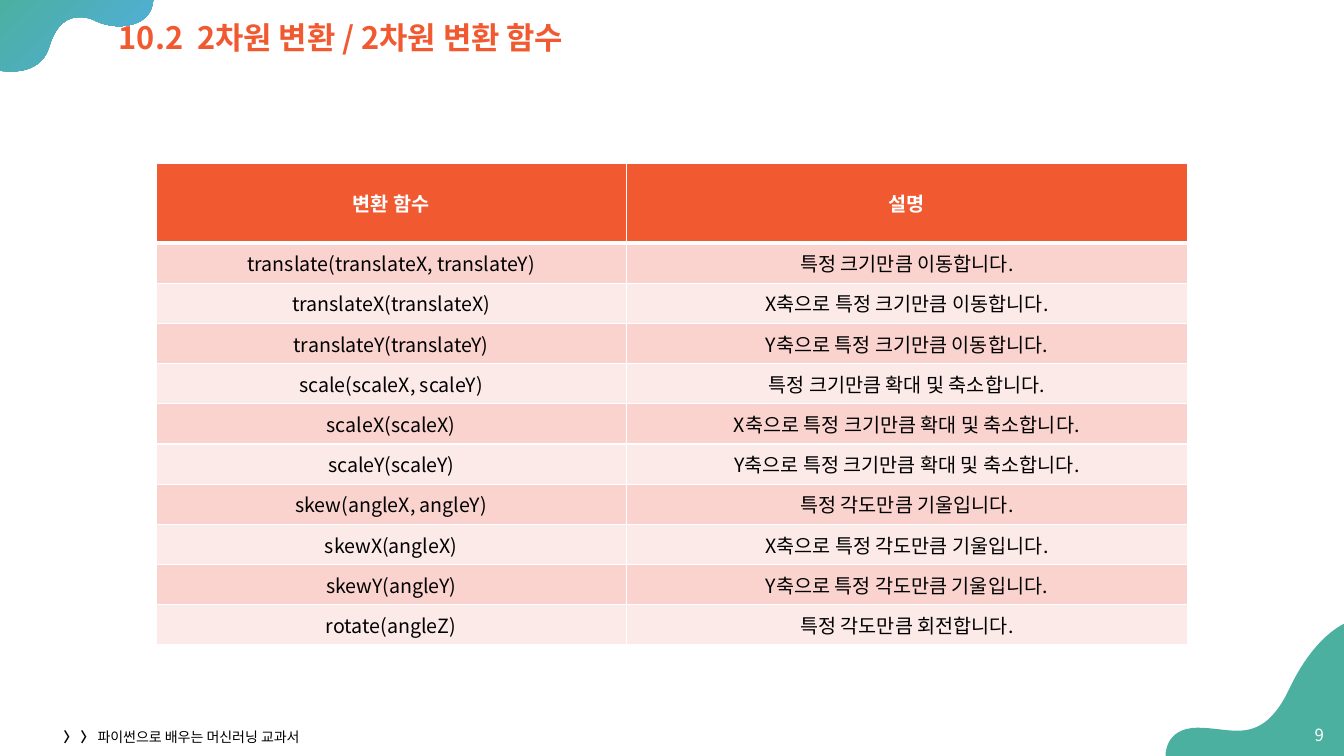
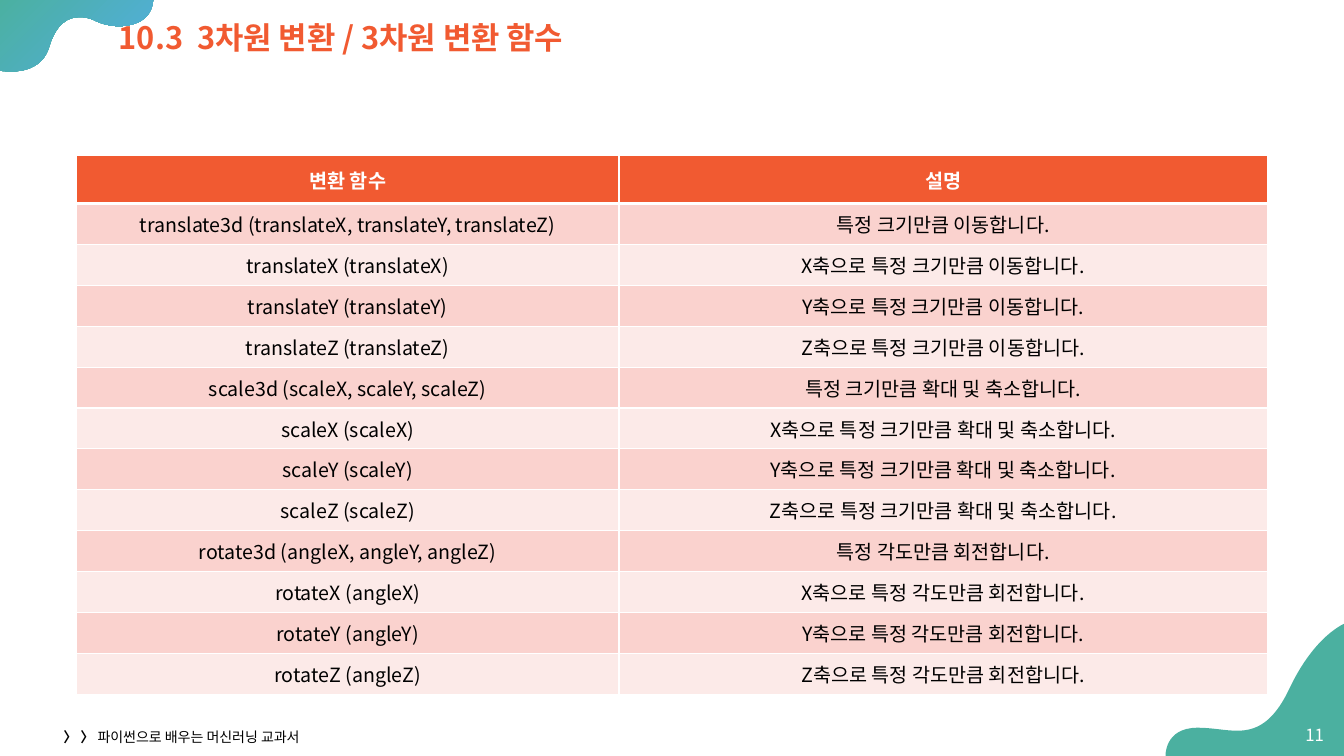
from lxml import etree
from pptx import Presentation
from pptx.dml.color import RGBColor
from pptx.enum import text as t
from pptx.oxml import ns
from pptx.util import Inches, Pt

FONT = "Noto Sans CJK KR"
ORANGE = RGBColor(0xF1, 0x5A, 0x31)
TEAL = RGBColor(0x4B, 0xB0, 0xA0)
BLUE = RGBColor(0x52, 0xAE, 0xE1)
PINK = RGBColor(0xFA, 0xD2, 0xCE)
PALE = RGBColor(0xFC, 0xEA, 0xE8)
WHITE = RGBColor(0xFF, 0xFF, 0xFF)
BLACK = RGBColor(0, 0, 0)

# Each step is one end point for a line, or three points for a Bezier curve.
TOP_BLOB = [
    [(1.52, -0.02)],
    [(-0.01, -0.02)],
    [(-0.01, 0.7)],
    [(-0.01, 0.7), (0.04, 0.71), (0.11, 0.71)],
    [(0.24, 0.71), (0.43, 0.67), (0.49, 0.46)],
    [(0.56, 0.23), (0.68, 0.17), (0.79, 0.17)],
    [(0.84, 0.17), (0.89, 0.18), (0.93, 0.2)],
    [(1.01, 0.24), (1.1, 0.26), (1.18, 0.26)],
    [(1.37, 0.26), (1.52, 0.17), (1.52, -0.02)],
]
END_BLOB = [
    [(13.35, 6.18)],
    [(13.35, 6.18), (13.04, 6.29), (12.78, 6.85)],
    [(12.62, 7.18), (12.45, 7.25), (12.27, 7.25)],
    [(12.15, 7.25), (12.02, 7.22), (11.88, 7.22)],
    [(11.54, 7.22), (11.56, 7.51), (11.56, 7.51)],
    [(13.35, 7.51)],
    [(13.35, 6.18)],
]

HEAD = ("변환 함수", "설명")
FLAT = [
    ("translate(translateX, translateY)", "특정 크기만큼 이동합니다."),
    ("translateX(translateX)", "X축으로 특정 크기만큼 이동합니다."),
    ("translateY(translateY)", "Y축으로 특정 크기만큼 이동합니다."),
    ("scale(scaleX, scaleY)", "특정 크기만큼 확대 및 축소합니다."),
    ("scaleX(scaleX)", "X축으로 특정 크기만큼 확대 및 축소합니다."),
    ("scaleY(scaleY)", "Y축으로 특정 크기만큼 확대 및 축소합니다."),
    ("skew(angleX, angleY)", "특정 각도만큼 기울입니다."),
    ("skewX(angleX)", "X축으로 특정 각도만큼 기울입니다."),
    ("skewY(angleY)", "Y축으로 특정 각도만큼 기울입니다."),
    ("rotate(angleZ)", "특정 각도만큼 회전합니다."),
]
SOLID = [
    ("translate3d (translateX, translateY, translateZ)", "특정 크기만큼 이동합니다."),
    ("translateX (translateX)", "X축으로 특정 크기만큼 이동합니다."),
    ("translateY (translateY)", "Y축으로 특정 크기만큼 이동합니다."),
    ("translateZ (translateZ)", "Z축으로 특정 크기만큼 이동합니다."),
    ("scale3d (scaleX, scaleY, scaleZ)", "특정 크기만큼 확대 및 축소합니다."),
    ("scaleX (scaleX)", "X축으로 특정 크기만큼 확대 및 축소합니다."),
    ("scaleY (scaleY)", "Y축으로 특정 크기만큼 확대 및 축소합니다."),
    ("scaleZ (scaleZ)", "Z축으로 특정 크기만큼 확대 및 축소합니다."),
    ("rotate3d (angleX, angleY, angleZ)", "특정 각도만큼 회전합니다."),
    ("rotateX (angleX)", "X축으로 특정 각도만큼 회전합니다."),
    ("rotateY (angleY)", "Y축으로 특정 각도만큼 회전합니다."),
    ("rotateZ (angleZ)", "Z축으로 특정 각도만큼 회전합니다."),
]


def add_run(para, words, size, color, bold=False):
    run = para.add_run()
    run.text = words
    font = run.font
    font.name, font.size, font.bold = FONT, Pt(size), bold
    font.color.rgb = color


def add_box(slide, left, top, width, height):
    """Add a text box and return its first paragraph."""
    box = slide.shapes.add_textbox(
        Inches(left), Inches(top), Inches(width), Inches(height))
    frame = box.text_frame
    frame.word_wrap = True
    frame.vertical_anchor = t.MSO_ANCHOR.MIDDLE
    return frame.paragraphs[0]


def bend(blob, steps):
    """Join each three line segments of a curved step into one Bezier."""
    lines = iter(list(blob._element.iter(ns.qn("a:lnTo"))))
    for step in steps[1:]:
        group = [next(lines) for _ in step]
        if len(group) == 1:
            continue
        curve = etree.Element(ns.qn("a:cubicBezTo"))
        group[0].addprevious(curve)
        for line in group:
            curve.append(line[0])
            line.getparent().remove(line)


def add_blob(slide, steps):
    """Add a curved outline and return its fill."""
    points = [(Inches(x), Inches(y)) for step in steps for x, y in step]
    maker = slide.shapes.build_freeform(*points[0])
    maker.add_line_segments(points[1:], close=True)
    blob = maker.convert_to_shape()
    bend(blob, steps)
    blob.shadow.inherit = False
    blob.line.fill.background()
    return blob.fill


def add_frame(slide, title, number):
    """Add the corner blobs, title, footer and page number."""
    fill = add_blob(slide, TOP_BLOB)
    fill.gradient()
    fill.gradient_angle = 315
    for stop, place, color in zip(fill.gradient_stops, (0, 1), (TEAL, BLUE)):
        stop.position = place
        stop.color.rgb = color
    fill = add_blob(slide, END_BLOB)
    fill.solid()
    fill.fore_color.rgb = TEAL

    para = add_box(slide, 1.08, 0.18, 12.25, 0.43)
    para.line_spacing = 0.9
    para.space_before = Pt(10)
    add_run(para, title, 22, ORANGE, True)

    para = add_box(slide, 0.53, 7.19, 4.5, 0.24)
    add_run(para, "〉 〉 ", 10, BLACK, True)
    add_run(para, "파이썬으로 배우는 머신러닝 교과서", 10, BLACK)

    para = add_box(slide, 12.79, 7.09, 0.44, 0.4)
    para.alignment = t.PP_ALIGN.RIGHT
    add_run(para, str(number), 12, WHITE)


def add_edge(cell, side, width):
    props = cell._tc.get_or_add_tcPr()
    line = etree.SubElement(props, ns.qn("a:ln" + side), w=str(Pt(width)))
    fill = etree.SubElement(line, ns.qn("a:solidFill"))
    etree.SubElement(fill, ns.qn("a:srgbClr"), val=str(WHITE))


def fill_cell(cell, words, row):
    head = row == 0
    edges = {"L": 1, "R": 1, "T": 3 if row == 1 else 1, "B": 3 if head else 1}
    for side, width in edges.items():
        add_edge(cell, side, width)
    cell.fill.solid()
    cell.fill.fore_color.rgb = ORANGE if head else PINK if row % 2 else PALE
    cell.vertical_anchor = t.MSO_ANCHOR.MIDDLE
    para = cell.text_frame.paragraphs[0]
    para.alignment = t.PP_ALIGN.CENTER
    add_run(para, words, 14, WHITE if head else BLACK, head)


def add_grid(slide, left, top, widths, tall, height, body):
    """Add a table with a header row of height tall above equal rows."""
    rows = [HEAD, *body]
    table = slide.shapes.add_table(
        len(rows), len(widths), Inches(left), Inches(top),
        Inches(sum(widths)), Inches(height)).table
    table.horz_banding = False
    for column, width in zip(table.columns, widths):
        column.width = Inches(width)
    low = (height - tall) / len(body)
    for i, row in enumerate(rows):
        table.rows[i].height = Inches(low if i else tall)
        for j, words in enumerate(row):
            fill_cell(table.cell(i, j), words, i)


def main():
    deck = Presentation()
    deck.slide_width, deck.slide_height = Inches(13.33), Inches(7.5)
    pages = [
        ("10.2  2차원 변환 / 2차원 변환 함수", 9,
         (1.55, 1.62, (4.66, 5.57), 0.79, 4.78, FLAT)),
        ("10.3  3차원 변환 / 3차원 변환 함수", 11,
         (0.76, 1.54, (5.38, 6.43), 0.48, 5.35, SOLID)),
    ]
    for title, number, grid in pages:
        slide = deck.slides.add_slide(deck.slide_layouts[6])
        add_frame(slide, title, number)
        add_grid(slide, *grid)
    deck.save("out.pptx")


if __name__ == "__main__":
    main()
